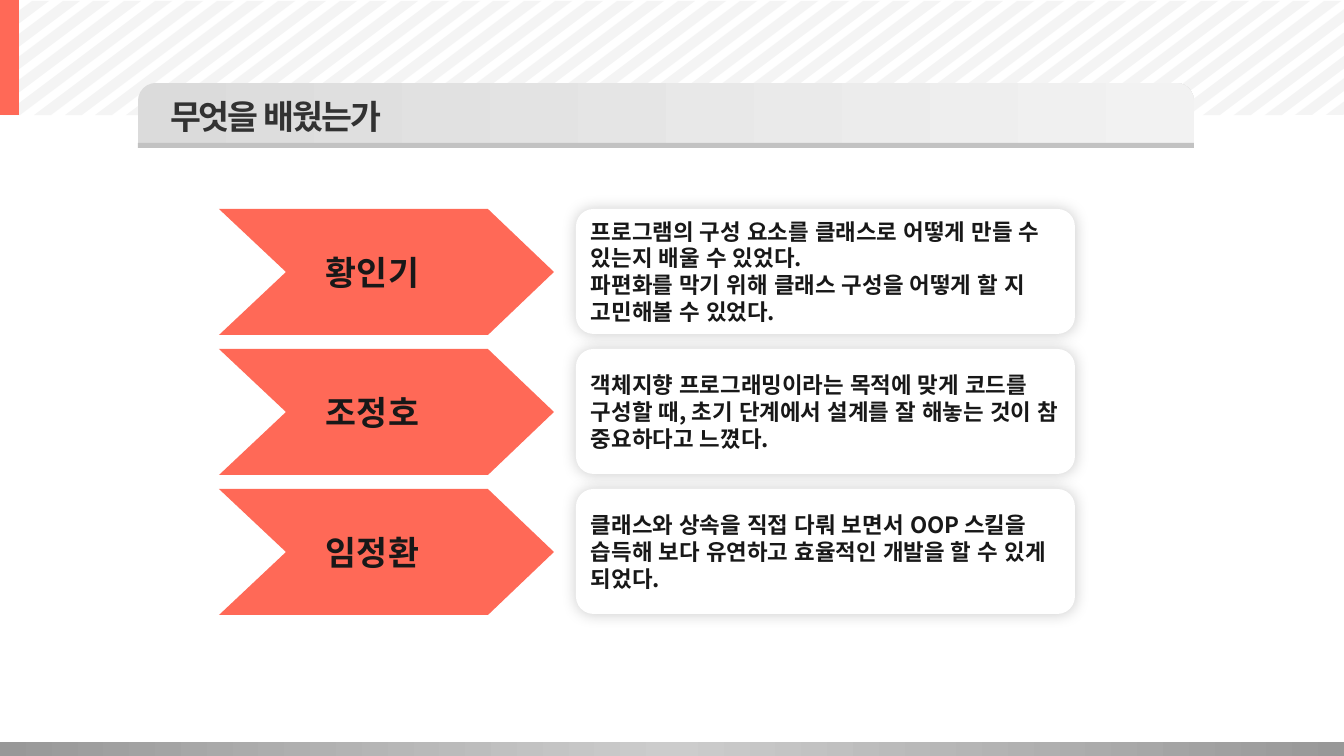
from lxml.etree import SubElement
from pptx import Presentation
from pptx.dml.color import RGBColor
from pptx.enum.lang import MSO_LANGUAGE_ID
from pptx.enum.shapes import MSO_SHAPE
from pptx.enum.text import MSO_ANCHOR, MSO_AUTO_SIZE, PP_ALIGN
from pptx.oxml.ns import qn
from pptx.util import Pt

SLIDE_W, SLIDE_H = 1344, 756
SCALE = 12192000 / SLIDE_W
FONT = "Noto Sans CJK KR"
COLORS = {
    "accent": "FF6957",
    "stripe": "EBEBEB",
    "footer_edge": "989898",
    "footer_mid": "CCCCCC",
    "bar_left": "DBDBDB",
    "bar_right": "F2F2F2",
    "underline": "C2C2C2",
    "title": "323232",
    "text": "181818",
    "card": "FFFFFF",
    "shadow": "000000",
}
STRIPE_TOP, STRIPE_BOTTOM = 1, 115
STRIPE_RUN, STRIPE_WIDTH, STRIPE_PITCH = 152, 17, 400 / 13
ROW_TOP, ROW_PITCH, ROW_HEIGHT = 209, 140, 126
LESSONS = [
    ("황인기", [
        "프로그램의 구성 요소를 클래스로 어떻게 만들 수 있는지 배울 수 있었다.",
        "파편화를 막기 위해 클래스 구성을 어떻게 할 지 고민해볼 수 있었다.",
    ]),
    ("조정호", [
        "객체지향 프로그래밍이라는 목적에 맞게 코드를 구성할 때, "
        "초기 단계에서 설계를 잘 해놓는 것이 참 중요하다고 느꼈다.",
    ]),
    ("임정환", [
        "클래스와 상속을 직접 다뤄 보면서 OOP 스킬을 습득해 "
        "보다 유연하고 효율적인 개발을 할 수 있게 되었다.",
    ]),
]


def px(*lengths):
    return [round(length * SCALE) for length in lengths]


def paint(shape, color):
    shape.shadow.inherit = False
    shape.line.fill.background()
    shape.fill.solid()
    shape.fill.fore_color.rgb = RGBColor.from_string(COLORS[color])


def set_alpha(color_element, percent):
    SubElement(color_element, qn("a:alpha"), val=str(percent * 1000))


def add_block(slide, box, color, kind=MSO_SHAPE.RECTANGLE, corners=()):
    block = slide.shapes.add_shape(kind, *px(*box))
    for index, corner in enumerate(corners):
        block.adjustments[index] = corner
    paint(block, color)
    return block


def add_gradient(block, colors):
    block.fill.gradient()
    block.fill.gradient_angle = 0
    stops = block.element.spPr.find(qn("a:gradFill")).find(qn("a:gsLst"))
    for stop in list(stops):
        stops.remove(stop)
    for index, color in enumerate(colors):
        position = 100000 * index // (len(colors) - 1)
        stop = SubElement(stops, qn("a:gs"), pos=str(position))
        SubElement(stop, qn("a:srgbClr"), val=COLORS[color])


def add_outline(slide, points, color):
    start, *rest = [px(*point) for point in points]
    builder = slide.shapes.build_freeform(*start)
    builder.add_line_segments(rest, close=True)
    outline = builder.convert_to_shape()
    paint(outline, color)
    return outline


def stripe_edge(bottom_x):
    edge = []
    for x in (bottom_x, bottom_x + STRIPE_RUN):
        clipped = min(max(x, 0), SLIDE_W)
        edge.append((clipped, STRIPE_BOTTOM - (clipped - bottom_x) * 3 / 4))
    return edge


def add_stripes(slide):
    for index in range(-5, 44):
        left = 3 + round(index * STRIPE_PITCH)
        points = stripe_edge(left) + stripe_edge(left + STRIPE_WIDTH)[::-1]
        stripe = add_outline(slide, points, "stripe")
        fill = stripe.element.spPr.find(qn("a:solidFill"))
        set_alpha(fill.find(qn("a:srgbClr")), 52)


def write(frame, lines, size, color, spacing=0, align=PP_ALIGN.LEFT, **frame_format):
    frame.word_wrap = True
    for key, value in frame_format.items():
        setattr(frame, key, value)
    for index, line in enumerate(lines):
        paragraph = frame.paragraphs[0] if index == 0 else frame.add_paragraph()
        paragraph.alignment = align
        run = paragraph.add_run()
        run.text = line
        run.font.color.rgb = RGBColor.from_string(COLORS[color])
        font_format = {"size": Pt(size), "name": FONT, "bold": True,
                       "language_id": MSO_LANGUAGE_ID.KOREAN}
        for key, value in font_format.items():
            setattr(run.font, key, value)
        properties = run.font._element
        properties.set("spc", str(round(spacing * 100)))
        latin = properties.find(qn("a:latin"))
        east_asian = SubElement(properties, qn("a:ea"), typeface=FONT)
        latin.addnext(east_asian)


def add_title(slide, text):
    title = slide.shapes.title
    title.left, title.top, title.width, title.height = px(160, 91, 570, 50)
    write(title.text_frame, [text], 24, "title", spacing=-1.5,
          vertical_anchor=MSO_ANCHOR.TOP, auto_size=MSO_AUTO_SIZE.SHAPE_TO_FIT_TEXT)
    slide.shapes.element.append(title.element)


def add_arrow(slide, top):
    middle, bottom = top + ROW_HEIGHT // 2, top + ROW_HEIGHT
    add_outline(slide, [(219, top), (488, top), (554, middle), (488, bottom),
                        (219, bottom), (286, middle)], "accent")


def add_card(slide, top, lines):
    card = add_block(slide, (576, top, 499, 125), "card",
                     MSO_SHAPE.ROUNDED_RECTANGLE, [0.14])
    effects = card.element.spPr.find(qn("a:effectLst"))
    glow = SubElement(effects, qn("a:outerShdw"), blurRad=str(Pt(11)), dist="0",
                      dir="4440000", algn="ctr", rotWithShape="0")
    set_alpha(SubElement(glow, qn("a:srgbClr"), val=COLORS["shadow"]), 20)
    write(card.text_frame, lines, 16, "text", vertical_anchor=MSO_ANCHOR.MIDDLE)


def add_name(slide, top, name):
    label = slide.shapes.add_textbox(*px(300, top, 145, 50))
    write(label.text_frame, [name], 24, "text", spacing=0.8, align=PP_ALIGN.CENTER,
          vertical_anchor=MSO_ANCHOR.MIDDLE, auto_size=MSO_AUTO_SIZE.SHAPE_TO_FIT_TEXT)


def main():
    deck = Presentation()
    deck.slide_width, deck.slide_height = px(SLIDE_W, SLIDE_H)
    slide = deck.slides.add_slide(deck.slide_layouts[5])

    add_stripes(slide)
    footer = add_block(slide, (0, 742, SLIDE_W, 14), "footer_mid")
    add_gradient(footer, ["footer_edge", "footer_mid", "footer_edge"])
    add_block(slide, (0, 0, 19, 115), "accent")
    title_bar = add_block(slide, (138, 83, 1056, 60), "bar_left",
                          MSO_SHAPE.ROUND_2_SAME_RECTANGLE, [0.3, 0])
    add_gradient(title_bar, ["bar_left", "bar_right"])
    add_block(slide, (138, 143, 1056, 5), "underline")
    add_title(slide, "무엇을 배웠는가")

    for row, (name, lines) in enumerate(LESSONS):
        top = ROW_TOP + row * ROW_PITCH
        add_arrow(slide, top)
        add_card(slide, top, lines)
        add_name(slide, top + 38, name)

    deck.save("out.pptx")


if __name__ == "__main__":
    main()
